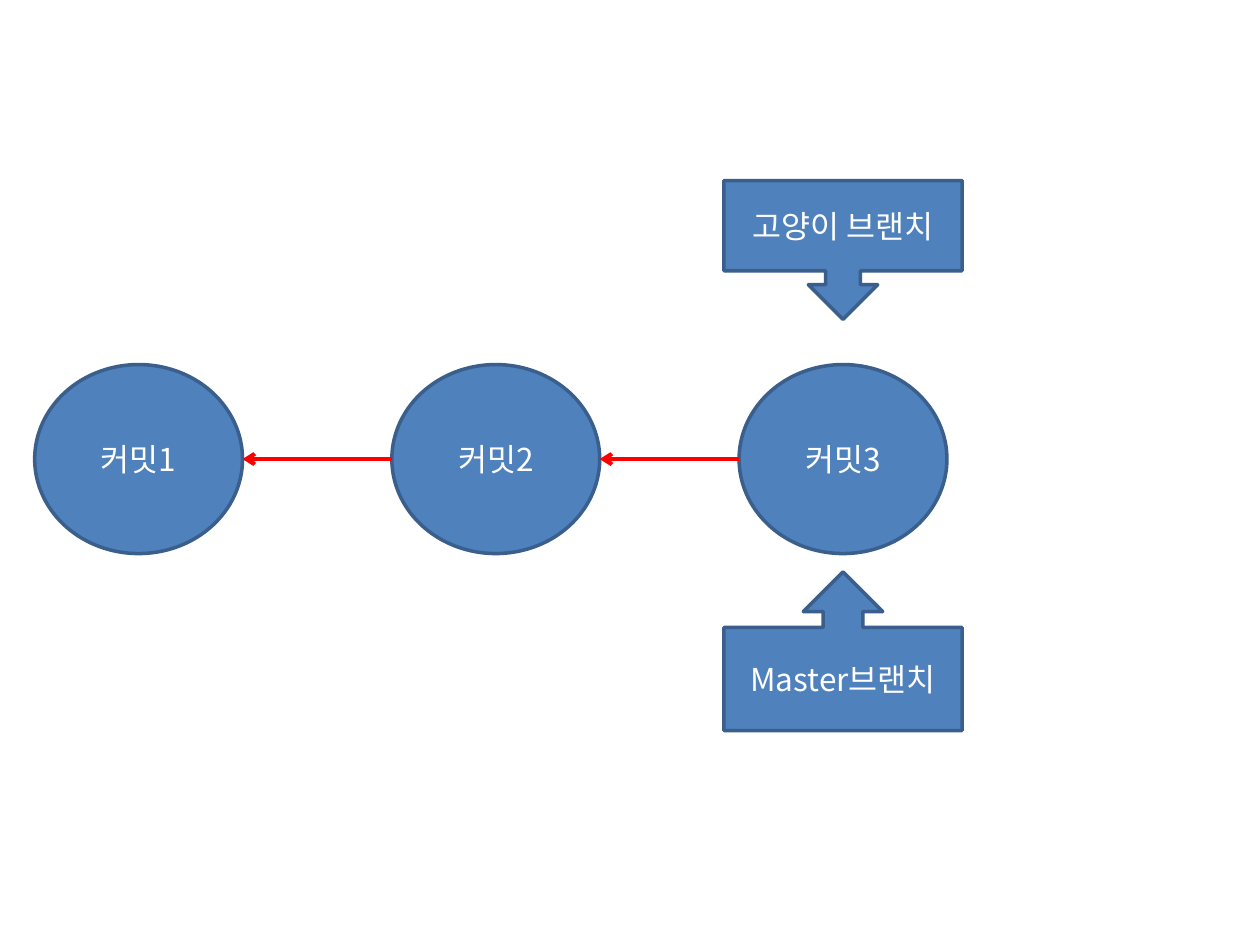
from pptx import Presentation
from pptx.dml.color import RGBColor
from pptx.enum.shapes import MSO_CONNECTOR, MSO_SHAPE as Shape
from pptx.enum.text import MSO_ANCHOR, PP_ALIGN
from pptx.oxml.ns import qn
from pptx.util import Cm, Pt
from lxml.etree import SubElement

FONT = "Noto Sans CJK KR"
BLUE, OUTLINE, WHITE, RED = "4F81BD", "3A5F8C", "FFFFFF", "FF0000"
COMMIT_WIDTH, COMMIT_HEIGHT = 4.19, 3.81
CALLOUT_WIDTH = 4.8


def color(hex_string):
    return RGBColor.from_string(hex_string)


def add_node(page, kind, box, text):
    """Blue outlined shape with a centred white label."""
    node = page.shapes.add_shape(kind, *map(Cm, box))
    node.shadow.inherit = False
    node.fill.solid()
    node.fill.fore_color.rgb = color(BLUE)
    node.line.color.rgb = color(OUTLINE)
    node.line.width = Pt(2)
    frame = node.text_frame
    frame.word_wrap = True
    frame.vertical_anchor = MSO_ANCHOR.MIDDLE
    para = frame.paragraphs[0]
    para.alignment = PP_ALIGN.CENTER
    span = para.add_run()
    span.text = text
    span.font.size = Pt(18)
    span.font.name = FONT
    span.font.color.rgb = color(WHITE)
    SubElement(span.font._element, qn("a:ea"), typeface=FONT)


def add_parent_arrow(page, start, end, middle):
    """Red arrow pointing back to the previous commit."""
    arrow = page.shapes.add_connector(
        MSO_CONNECTOR.STRAIGHT, Cm(start), Cm(middle), Cm(end), Cm(middle))
    arrow.line.color.rgb = color(RED)
    arrow.line.width = Pt(2.25)
    SubElement(arrow.line._get_or_add_ln(), qn("a:tailEnd"), type="arrow")
    SubElement(arrow._element.spPr, qn("a:effectLst"))


def add_history(page, lefts, top):
    """Row of commits, each linked to the one before it."""
    for number, left in enumerate(lefts, 1):
        add_node(page, Shape.OVAL, (left, top, COMMIT_WIDTH, COMMIT_HEIGHT),
                 f"커밋{number}")
    for previous, left in zip(lefts, lefts[1:]):
        add_parent_arrow(page, left, previous + COMMIT_WIDTH,
                         top + COMMIT_HEIGHT / 2)


def add_branches(page, center, branches):
    """Callouts centred on the commit they point to."""
    for kind, top, height, name in branches:
        box = (center - CALLOUT_WIDTH / 2, top, CALLOUT_WIDTH, height)
        add_node(page, kind, box, name)


def main():
    deck = Presentation()
    deck.slide_width, deck.slide_height = Cm(25.4), Cm(19.05)
    page = deck.slides.add_slide(deck.slide_layouts[6])

    # Commit history
    lefts = [0.7, 7.9, 14.9]
    add_history(page, lefts, 7.35)

    # Branches on the latest commit
    add_branches(page, lefts[-1] + COMMIT_WIDTH / 2, [
        (Shape.DOWN_ARROW_CALLOUT, 3.64, 2.8, "고양이 브랜치"),
        (Shape.UP_ARROW_CALLOUT, 11.53, 3.2, "Master브랜치"),
    ])
    deck.save("out.pptx")


if __name__ == "__main__":
    main()
